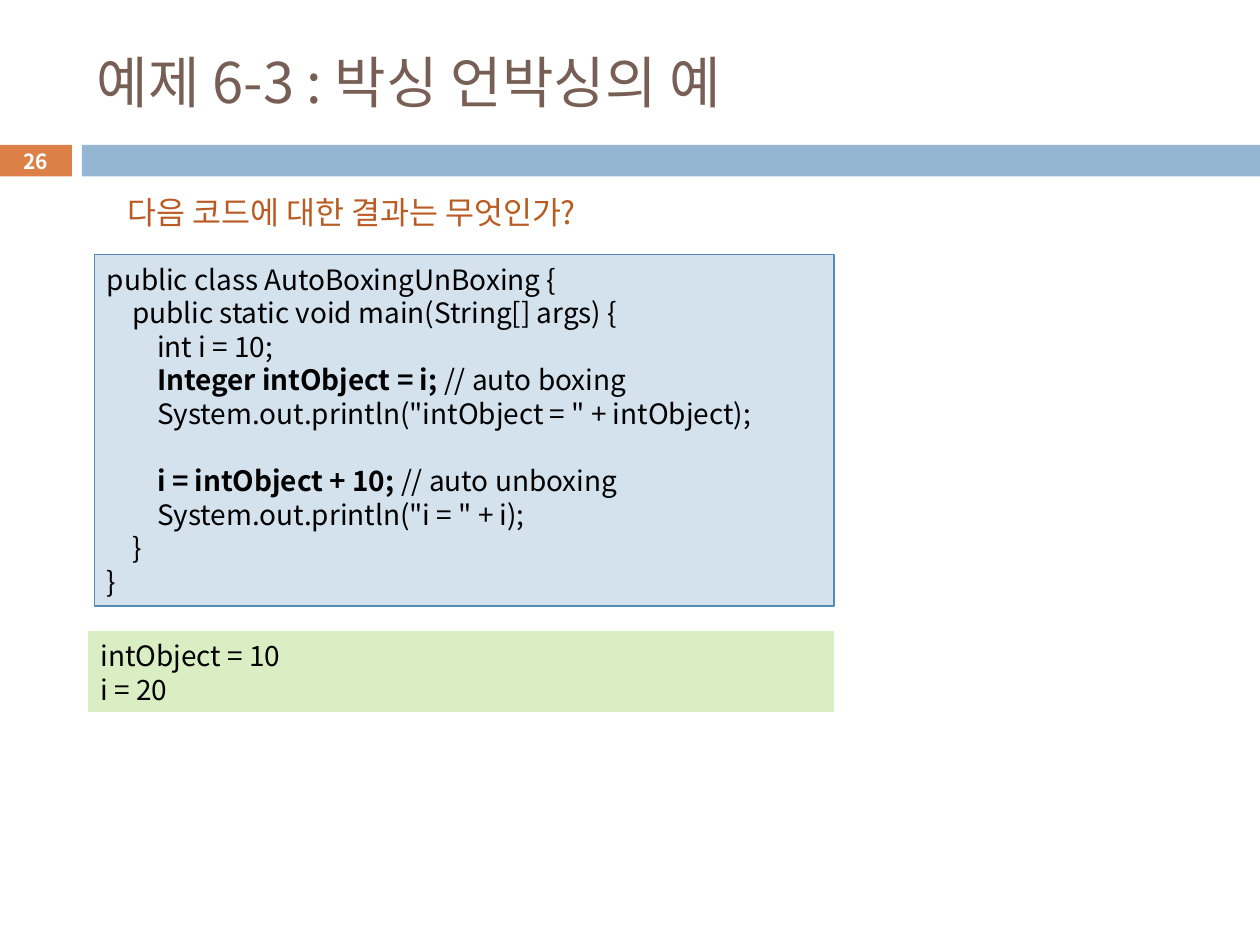
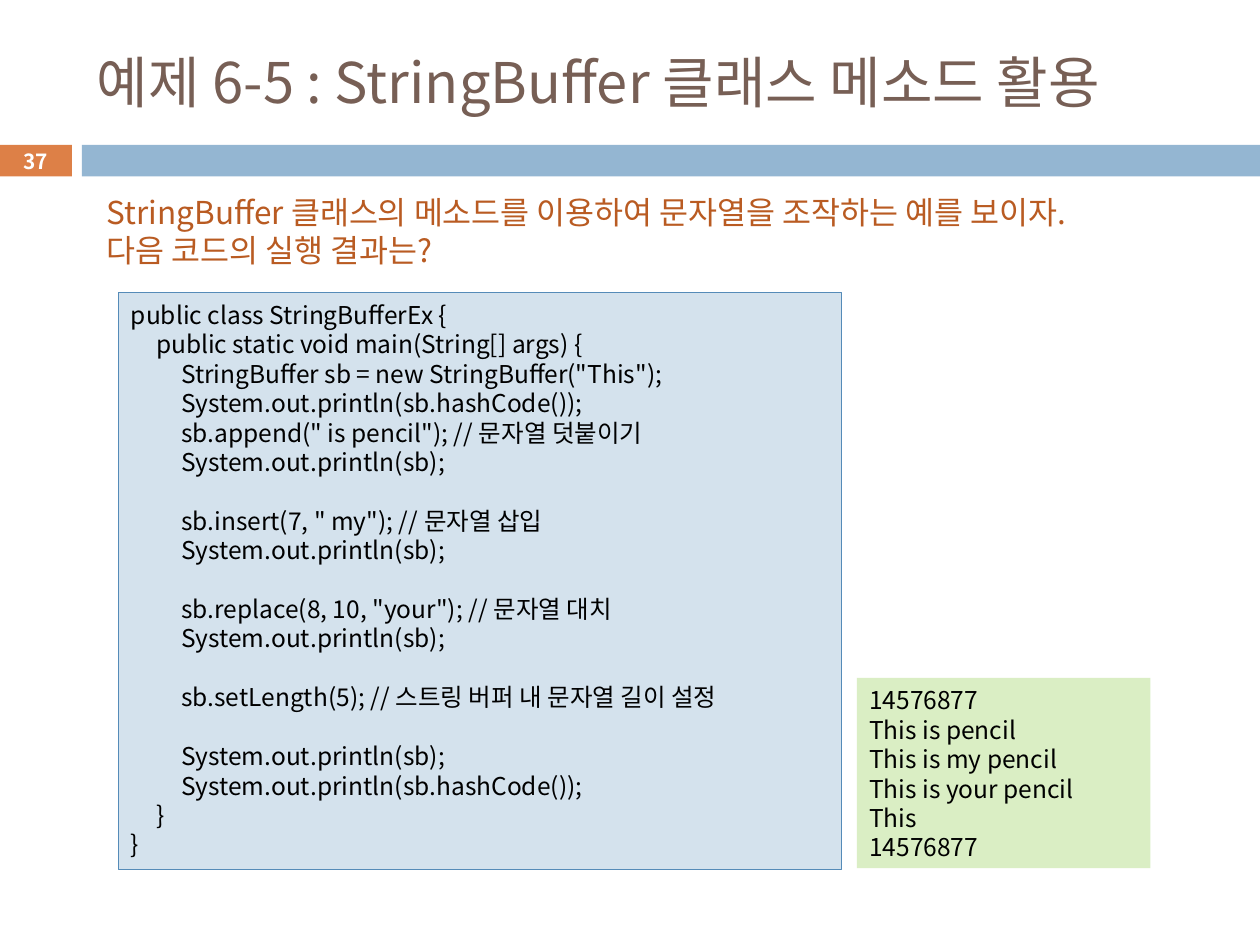
from pptx import Presentation
from pptx.util import Inches, Pt
from pptx.dml.color import RGBColor
from pptx.enum.shapes import MSO_SHAPE as Shape
from pptx.enum.text import MSO_ANCHOR as Anchor, PP_ALIGN as Align
from pptx.oxml.ns import qn
from lxml.etree import SubElement as Sub

COLORS = {
    "title": "775F55", "ask": "B95B22", "ink": "000000", "white": "FFFFFF",
    "tag": "DD8047", "band": "94B6D2",
    "code": "D4E2ED", "edge": "558BB8", "result": "DAEEC4",
}
FONT = "Noto Sans CJK KR"
TAB = 0.2      # inches per code level
PITCH = 1.2    # line height over text size


class Deck:
    def __init__(self):
        self.prs = Presentation()
        self.prs.slide_width, self.prs.slide_height = Inches(10), Inches(7.5)
        self.slide = None

    def color(self, name):
        return RGBColor.from_string(COLORS[name])

    def start(self, title, page):
        """Add a slide with its title, bands and page number."""
        self.slide = self.prs.slides.add_slide(self.prs.slide_layouts[6])
        self.rect((-0.01, 1.15, 0.58, 0.25), "tag")
        self.rect((0.65, 1.15, 9.35, 0.25), "band")
        self.text((0.67, 0.27, 8.92, 0.74), [title], 32, "title", middle=True)
        num = self.text((-0.01, 1.14, 0.58, 0.27), [("*" + page,)], 11.9,
                        "white", middle=True)
        num.paragraphs[0].alignment = Align.CENTER

    def rect(self, box, fill, edge=None):
        shape = self.slide.shapes.add_shape(Shape.RECTANGLE, *map(Inches, box))
        shape.shadow.inherit = False
        shape.fill.solid()
        shape.fill.fore_color.rgb = self.color(fill)
        if edge:
            shape.line.color.rgb = self.color(edge)
            shape.line.width = Pt(0.75)
        else:
            shape.line.fill.background()
        return shape

    def text(self, box, lines, size, color, middle=False, wrap=True):
        shape = self.slide.shapes.add_textbox(*map(Inches, box))
        self.fill(shape.text_frame, lines, size, color, wrap)
        if middle:
            shape.text_frame.vertical_anchor = Anchor.MIDDLE
        return shape.text_frame

    def panel(self, box, lines, size, fill, edge=None):
        frame = self.rect(box, fill, edge).text_frame
        frame.vertical_anchor = Anchor.TOP
        self.fill(frame, lines, size, "ink")

    def fill(self, frame, lines, size, color, wrap=True):
        """Write lines; a line is a string or a tuple of runs, * marks bold."""
        frame.word_wrap = wrap
        frame.margin_top = Inches(0.06)
        for n, line in enumerate(lines):
            para = frame.add_paragraph() if n else frame.paragraphs[0]
            para.alignment = Align.LEFT
            para.line_spacing = Pt(round(size * PITCH, 1))
            runs = (line,) if isinstance(line, str) else line
            if "\t" in runs[0]:
                self.tabs(para)
            for part in filter(None, runs):
                self.run(para, part, size, color)

    def tabs(self, para):
        stops = Sub(para._p.get_or_add_pPr(), qn("a:tabLst"))
        for level in (1, 2):
            Sub(stops, qn("a:tab"), pos=str(Inches(TAB * level)), algn="l")

    def run(self, para, part, size, color):
        run = para.add_run()
        run.text = part.removeprefix("*")
        font = run.font
        font.name, font.size = FONT, Pt(size)
        font.bold = part.startswith("*")
        font.color.rgb = self.color(color)
        Sub(run._r.get_or_add_rPr(), qn("a:ea"), typeface=FONT)


BOXING = [
    "public class AutoBoxingUnBoxing {",
    "\tpublic static void main(String[] args) {",
    "\t\tint i = 10;",
    ("\t\t", "*Integer intObject = i; ", "// auto boxing"),
    '\t\tSystem.out.println("intObject = " + intObject);',
    "",
    ("\t\t", "*i = intObject + 10; ", "// auto unboxing"),
    '\t\tSystem.out.println("i = " + i);',
    "\t}",
    "}",
]

BUFFER = [
    "public class StringBufferEx {",
    "\tpublic static void main(String[] args) {",
    '\t\tStringBuffer sb = new StringBuffer("This");',
    "\t\tSystem.out.println(sb.hashCode());",
    '\t\tsb.append(" is pencil"); // 문자열 덧붙이기',
    "\t\tSystem.out.println(sb);",
    "",
    '\t\tsb.insert(7, " my"); // 문자열 삽입',
    "\t\tSystem.out.println(sb);",
    "",
    '\t\tsb.replace(8, 10, "your"); // 문자열 대치',
    "\t\tSystem.out.println(sb);",
    "",
    "\t\tsb.setLength(5); // 스트링 버퍼 내 문자열 길이 설정",
    "",
    "\t\tSystem.out.println(sb);",
    "\t\tSystem.out.println(sb.hashCode());",
    "\t}",
    "}",
]


def main():
    deck = Deck()

    # Boxing and unboxing
    deck.start("예제 6-3 : 박싱 언박싱의 예", "26")
    deck.panel((0.75, 2.02, 5.87, 2.79), BOXING, 16, "code", "edge")
    deck.text((0.91, 1.47, 4.18, 0.4), ["다음 코드에 대한 결과는 무엇인가?"],
              18, "ask", wrap=False)
    deck.panel((0.7, 5.01, 5.92, 0.64), ["intObject = 10", "i = 20"],
               16, "result")

    # String buffer methods
    deck.start("예제 6-5 : StringBuffer 클래스 메소드 활용", "37")
    deck.panel((0.94, 2.32, 5.74, 4.58), BUFFER, 14, "code", "edge")
    deck.text((0.75, 1.47, 8.38, 0.71), [
        "StringBuffer 클래스의 메소드를 이용하여 문자열을 조작하는 예를 보이자.",
        "다음 코드의 실행 결과는?",
    ], 18, "ask", wrap=False)
    deck.panel((6.8, 5.38, 2.33, 1.51), [
        "14576877", "This is pencil", "This is my pencil",
        "This is your pencil", "This", "14576877",
    ], 14, "result")

    deck.prs.save("out.pptx")


if __name__ == "__main__":
    main()
